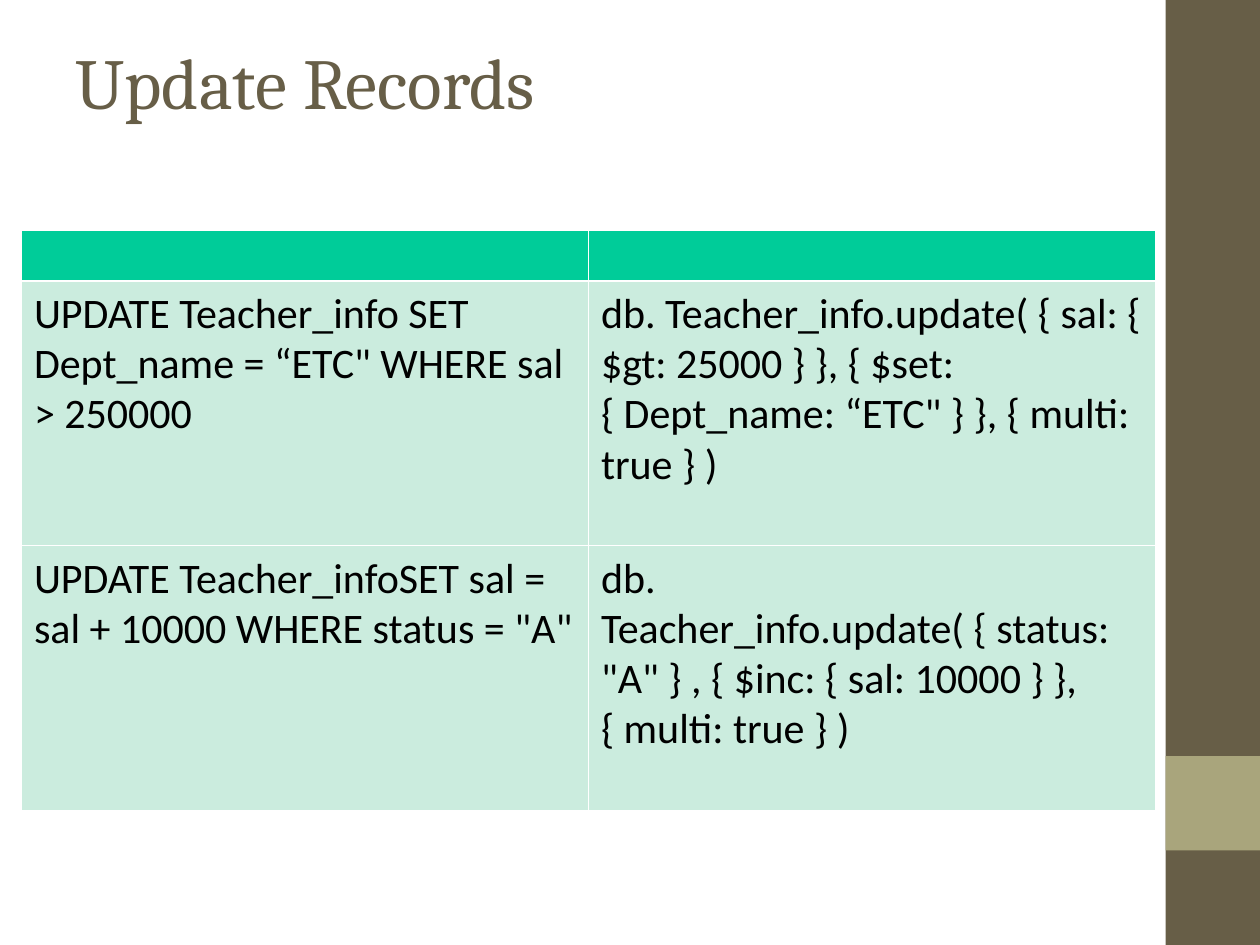
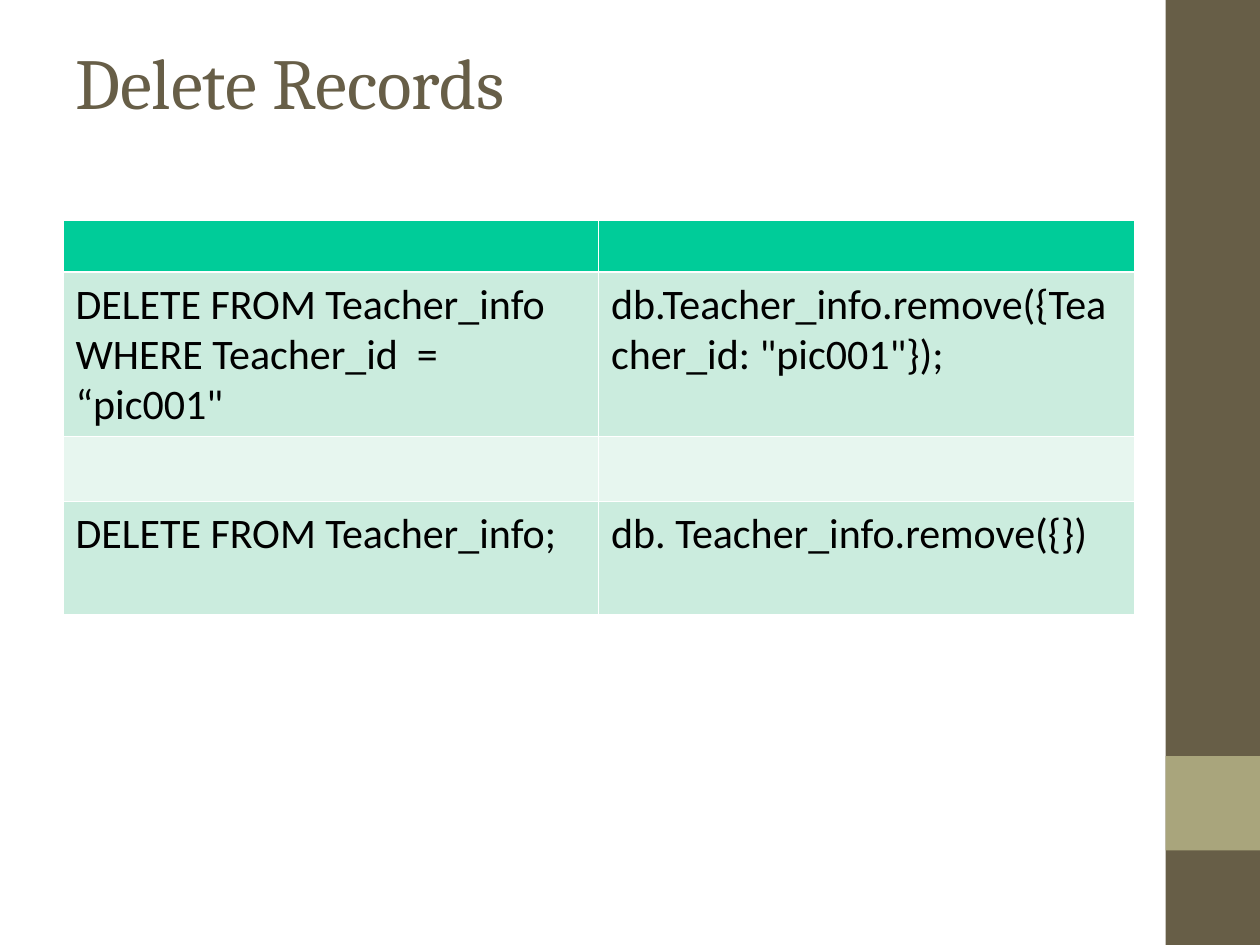
from pptx import Presentation
from pptx.dml.color import RGBColor as RGB
from pptx.enum.shapes import MSO_SHAPE as SHAPE
from pptx.enum.text import MSO_ANCHOR as ANCHOR
from pptx.oxml.ns import qn
from pptx.util import Inches, Pt
from lxml.etree import SubElement as Sub

COLORS = {
    "brown": "675E47",
    "khaki": "A9A57C",
    "head": "00CC99",
    "tint": "CBECDE",
    "pale": "E7F6EF",
    "rule": "FFFFFF",
    "text": "000000",
}
THIN, THICK = 0.45, 1.47
HARD = chr(160)  # no-break space, typed as ~ in the queries below

UPDATES = [
    ("", ""),
    ('UPDATE Teacher_info SET Dept_name = “ETC" WHERE sal > 250000',
     'db. Teacher_info.update( { sal: { $gt: 25000 } }, { $set: '
     '{~Dept_name: “ETC" } }, { multi: true } )'),
    ('UPDATE Teacher_infoSET sal = sal + 10000 WHERE status = "A"',
     'db. Teacher_info.update(~{~status: "A" } , { $inc: { sal: 10000 } }, '
     '{~multi: true } )'),
]
DELETES = [
    ("", ""),
    ('DELETE FROM Teacher_info WHERE Teacher_id  = “pic001"',
     'db.Teacher_info.remove({Teacher_id: "pic001"});'),
    ("", ""),
    ("DELETE FROM Teacher_info;", "db. Teacher_info.remove({})"),
]


def color(name):
    return RGB.from_string(COLORS[name])


def add_run(par, text, font, size, tone):
    run = par.add_run()
    run.text = text
    run.font.name = font
    run.font.size = Pt(size)
    run.font.color.rgb = color(tone)


def add_band(slide, top, height, tone):
    """Draw one block of the right-hand side bar."""
    band = slide.shapes.add_shape(SHAPE.RECTANGLE, Inches(9.25), Inches(top),
                                  Inches(0.75), Inches(height))
    band.shadow.inherit = False
    band.fill.solid()
    band.fill.fore_color.rgb = color(tone)
    band.line.fill.background()


def add_title(slide, text):
    box = slide.shapes.add_textbox(Inches(0.5), Inches(0.3),
                                   Inches(8.33), Inches(1.25))
    frame = box.text_frame
    frame.word_wrap = True
    frame.vertical_anchor = ANCHOR.TOP
    frame.margin_top = 0
    add_run(frame.paragraphs[0], text, "Cambria", 41, "brown")


def add_page(deck, title):
    slide = deck.slides.add_slide(deck.slide_layouts[6])
    add_band(slide, 0, 7.5, "brown")
    add_band(slide, 6, 0.75, "khaki")
    add_title(slide, title)
    return slide


def set_rules(cell, top, bottom):
    """Give the cell white borders; widths are in points."""
    props = cell._tc.get_or_add_tcPr()
    for side, width in (("L", THIN), ("R", THIN), ("T", top), ("B", bottom)):
        line = Sub(props, qn(f"a:ln{side}"), w=str(int(Pt(width))))
        fill = Sub(line, qn("a:solidFill"))
        Sub(fill, qn("a:srgbClr"), val=COLORS["rule"])


def fill_cell(cell, text, row):
    set_rules(cell, THICK if row == 1 else THIN, THICK if row == 0 else THIN)
    tone = "head" if row == 0 else "tint" if text else "pale"
    cell.fill.solid()
    cell.fill.fore_color.rgb = color(tone)
    if text:
        cell.margin_top = Inches(0.06)
        cell.margin_bottom = Inches(0.05)
        par = cell.text_frame.paragraphs[0]
        par.line_spacing = 0.98
        add_run(par, text.replace("~", HARD), "Calibri", 24, "text")


def add_grid(slide, left, top, width, heights, rows):
    """Place SQL on the left and its document query on the right."""
    frame = slide.shapes.add_table(len(rows), 2, Inches(left), Inches(top),
                                   Inches(width), Inches(sum(heights)))
    table = frame.table
    for col in table.columns:
        col.width = Inches(width / 2)
    for r, (height, texts) in enumerate(zip(heights, rows)):
        table.rows[r].height = Inches(height)
        for c, text in enumerate(texts):
            fill_cell(table.cell(r, c), text, r)


def main():
    deck = Presentation()
    deck.slide_width, deck.slide_height = Inches(10), Inches(7.5)
    slide = add_page(deck, "Update Records")
    add_grid(slide, 0.17, 1.83, 9, [0.4, 2.1, 2.1], UPDATES)
    slide = add_page(deck, "Delete Records")
    add_grid(slide, 0.5, 1.75, 8.5, [0.41, 1.3, 0.52, 0.9], DELETES)
    deck.save("out.pptx")


if __name__ == "__main__":
    main()
